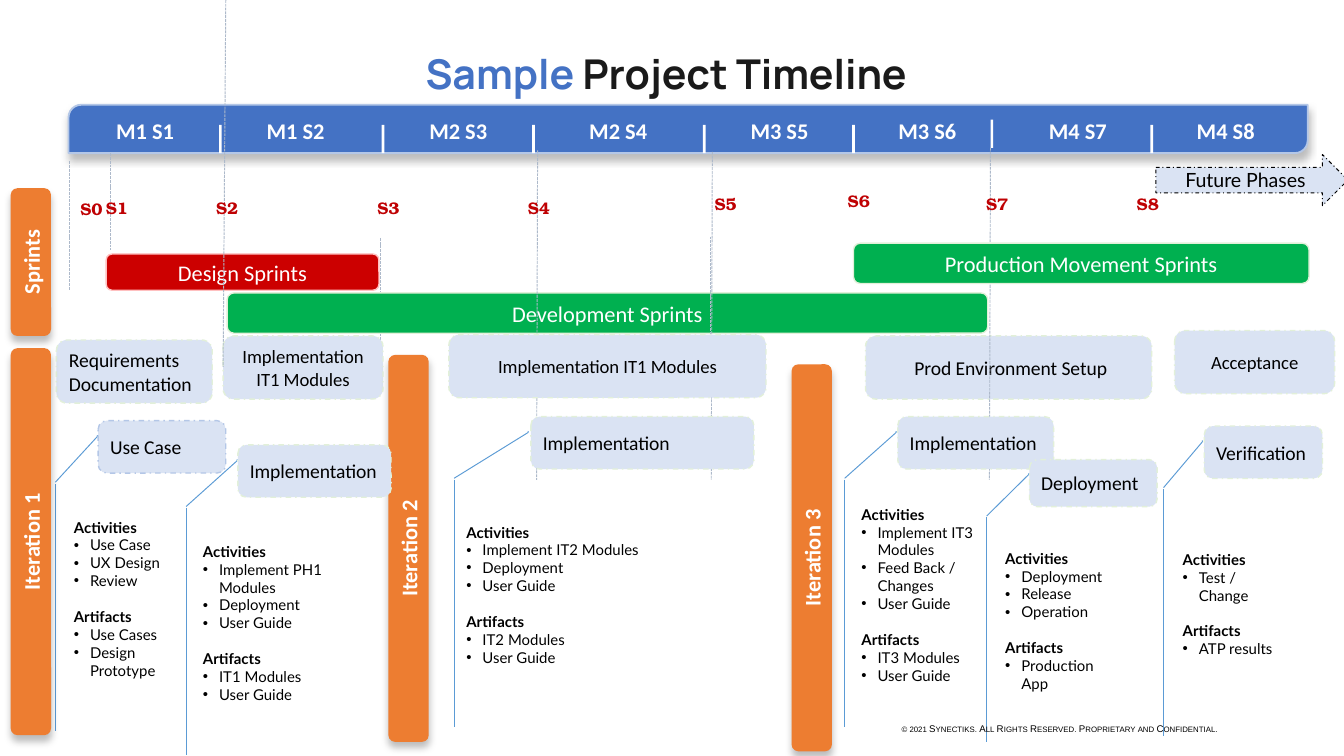
import dataclasses

import lxml.etree
import pptx
import pptx.dml.color
import pptx.enum.dml
import pptx.enum.shapes
import pptx.enum.text
import pptx.oxml.ns
import pptx.util

Inches, Pt = pptx.util.Inches, pptx.util.Pt
SHAPE = pptx.enum.shapes.MSO_SHAPE
DASH = pptx.enum.dml.MSO_LINE
ALIGN = pptx.enum.text.PP_ALIGN
ANCHOR = pptx.enum.text.MSO_ANCHOR
qn = pptx.oxml.ns.qn


@dataclasses.dataclass(frozen=True)
class Theme:
    blue: str = "4472C4"
    edge: str = "B4C7E7"
    pale: str = "DAE3F3"
    mint: str = "E2F0D9"
    orange: str = "ED7D31"
    red: str = "CC0000"
    pink: str = "FFC0C0"
    green: str = "00B050"
    sprint: str = "BF0103"
    guide: str = "ADB9CA"
    callout: str = "5B9BD5"
    white: str = "FFFFFF"
    black: str = "000000"
    ink: str = "1A1A1A"
    body: str = "Calibri"
    notes: str = "Lato"
    title: str = "Manrope"
    serif: str = "TeX Gyre Bonum"
    legal: str = "Arial"
    title_size: float = 22
    bar_size: float = 12
    task_size: float = 10.5
    phase_size: float = 10
    sprint_size: float = 9
    note_size: float = 8
    legal_size: float = 5.25


class Timeline:
    tight = (0.07, 0.04, 0.07, 0.04)

    def __init__(self, slide, theme):
        self.s, self.t = slide, theme

    def color(self, value):
        return pptx.dml.color.RGBColor.from_string(value)

    def frame(self, sp, insets, anchor):
        tf = sp.text_frame
        tf.word_wrap = True
        tf.vertical_anchor = anchor
        tf.margin_left, tf.margin_top, tf.margin_right, tf.margin_bottom = map(Inches, insets)
        return tf

    def run(self, p, text, size, font, color, bold=False):
        r = p.add_run()
        r.text = text
        r.font.size, r.font.name, r.font.bold = Pt(size), font, bold
        r.font.color.rgb = self.color(color)
        return r

    def shape(self, kind, box, fill, line=None, width=0.75, dash=None, shadow=False):
        sp = self.s.shapes.add_shape(kind, *map(Inches, box))
        sp.shadow.inherit = False
        sp.fill.solid()
        sp.fill.fore_color.rgb = self.color(fill)
        if line:
            sp.line.color.rgb = self.color(line)
            sp.line.width = Pt(width)
            if dash:
                sp.line.dash_style = dash
        else:
            sp.line.fill.background()
        if shadow:
            effects = sp._element.spPr.find(qn("a:effectLst"))
            outer = lxml.etree.SubElement(effects, qn("a:outerShdw"), blurRad=str(Pt(4)),
                                          dist=str(Pt(3)), dir="5400000", rotWithShape="0")
            clr = lxml.etree.SubElement(outer, qn("a:srgbClr"), val=self.t.black)
            lxml.etree.SubElement(clr, qn("a:alpha"), val="25000")
        return sp

    def label(self, sp, lines, size, color, font=None, bold=False, align=ALIGN.CENTER,
              insets=tight, anchor=ANCHOR.MIDDLE):
        tf = self.frame(sp, insets, anchor)
        for i, text in enumerate(lines.split("\n")):
            p = tf.add_paragraph() if i else tf.paragraphs[0]
            p.alignment = align
            self.run(p, text, size, font or self.t.body, color, bold)

    def text(self, box, text, size, color, font=None, bold=True):
        sp = self.s.shapes.add_textbox(*map(Inches, box))
        self.label(sp, text, size, color, font, bold, anchor=ANCHOR.TOP)

    def bar(self, box, text, fill, line):
        sp = self.shape(SHAPE.ROUNDED_RECTANGLE, box, fill, line)
        self.label(sp, text, self.t.bar_size, self.t.white)

    def side_tab(self, left, top, height, text):
        """Vertical tab: a wide shape turned a quarter to the left."""
        thick = 0.3
        box = (left + (thick - height) / 2, top + (height - thick) / 2, height, thick)
        sp = self.shape(SHAPE.ROUNDED_RECTANGLE, box, self.t.orange, shadow=True)
        sp.rotation = 270
        self.label(sp, text, self.t.bar_size, self.t.white, bold=True)

    def task(self, box, text, size=None, align=ALIGN.LEFT, line=None, insets=tight):
        sp = self.shape(SHAPE.ROUNDED_RECTANGLE, box, self.t.pale, line or self.t.mint,
                        dash=DASH.DASH_DOT)
        self.label(sp, text, size or self.t.task_size, self.t.black, align=align, insets=insets)

    def guide(self, x1, y1, x2, y2):
        c = self.s.shapes.add_connector(pptx.enum.shapes.MSO_CONNECTOR.STRAIGHT,
                                        *map(Inches, (x1, y1, x2, y2)))
        c.line.color.rgb = self.color(self.t.guide)
        c.line.width = Pt(0.5)
        c.line.dash_style = DASH.SQUARE_DOT
        lxml.etree.SubElement(c._element.spPr, qn("a:effectLst"))

    def notes(self, box, activities, artifacts):
        sp = self.shape(SHAPE.LINE_CALLOUT_2_ACCENT_BAR, box, self.t.white, self.t.callout, 0.5)
        for i, value in enumerate((-0.006, 0.053, -0.191, 0.32, -0.197, 0.321)):
            sp.adjustments[i] = value
        tf = self.frame(sp, (0.2, 0.16, 0.2, 0.29), ANCHOR.MIDDLE)
        for heading, items in (("Activities", activities), ("Artifacts", artifacts)):
            first = heading == "Activities"
            p = tf.paragraphs[0] if first else tf.add_paragraph()
            p.alignment = ALIGN.LEFT
            if not first:
                p.space_before = Pt(9.6)
            self.run(p, heading, self.t.note_size, self.t.notes, self.t.black, True)
            for item in items:
                p = tf.add_paragraph()
                p.alignment = ALIGN.LEFT
                pPr = p._p.get_or_add_pPr()
                pPr.set("marL", str(Inches(0.12)))
                pPr.set("indent", str(-Inches(0.12)))
                lxml.etree.SubElement(pPr, qn("a:buFont"), typeface=self.t.legal)
                lxml.etree.SubElement(pPr, qn("a:buChar"), char="•")
                self.run(p, item, self.t.note_size, self.t.notes, self.t.black)


def main():
    prs = pptx.Presentation()
    prs.slide_width = Inches(10)
    prs.slide_height = prs.slide_width * 9 // 16
    t = Theme()
    tl = Timeline(prs.slides.add_slide(prs.slide_layouts[6]), t)

    # Title
    sp = tl.s.shapes.add_textbox(*map(Inches, (1.96, 0.31, 6.09, 0.47)))
    p = tl.frame(sp, (0, 0.05, 0.1, 0.05), ANCHOR.TOP).paragraphs[0]
    p.alignment = ALIGN.CENTER
    tl.run(p, "Sample ", t.title_size, t.title, t.blue, True)
    tl.run(p, "Project Timeline", t.title_size, t.title, t.ink, True)

    # Month band
    band = tl.shape(SHAPE.ROUND_2_DIAG_RECTANGLE, (0.51, 0.78, 9.22, 0.36), t.blue, t.edge, 1,
                    shadow=True)
    band.adjustments[0], band.adjustments[1] = 0.262, 0.013
    for x in (1.63, 2.84, 3.96, 5.23, 6.34, 7.37, 8.56):
        tl.shape(SHAPE.RECTANGLE, (x, 0.89 if x == 7.37 else 0.93, 0.02, 0.21), t.white)
    for i, center in enumerate((1.08, 2.2, 3.41, 4.6, 5.8, 6.9, 8.02, 9.12)):
        tl.text((center - 0.4, 0.83, 0.8, 0.28), f"M{i // 2 + 1} S{i + 1}", t.bar_size, t.white)

    # Sprint bars, phase boxes and dashed guides
    tl.bar((0.79, 1.89, 2.03, 0.27), "Design Sprints", t.red, t.pink)
    tl.guide(2.83, 1.77, 2.83, 2.77)
    tl.bar((1.69, 2.18, 5.66, 0.3), "Development Sprints", t.green, t.mint)
    tl.task((1.66, 2.5, 1.19, 0.47), "Implementation\nIT1 Modules", t.phase_size, ALIGN.CENTER)
    tl.task((0.42, 2.53, 1.16, 0.47), "Requirements Documentation")
    tl.task((6.44, 2.5, 2.13, 0.47), "Prod Environment Setup", insets=(0.34, 0.04, 0.07, 0.04))
    for ends in ((0.52, 1.2, 0.52, 2.16), (4, 1.12, 3.99, 4.27), (1.68, 0, 1.66, 2.73),
                 (0.82, 1.14, 0.82, 1.86), (5.29, 1.76, 5.29, 2.76),
                 (5.3, 1.13, 5.29, 4.29), (7.37, 1.1, 7.36, 4.26)):
        tl.guide(*ends)
    tl.bar((6.35, 1.81, 3.39, 0.3), "Production Movement Sprints", t.green, t.mint)
    tl.task((3.34, 2.49, 2.36, 0.47), "Implementation IT1 Modules", t.phase_size, ALIGN.CENTER)
    tl.task((8.74, 2.46, 1.19, 0.47), "Acceptance", t.phase_size, ALIGN.CENTER)

    # Sprint marks and the arrow to later phases
    marks = ((0.51, 1.44), (0.7, 1.43), (1.52, 1.43), (2.72, 1.43), (3.84, 1.43),
             (5.23, 1.4), (6.22, 1.38), (7.25, 1.4), (8.37, 1.4))
    for i, (x, y) in enumerate(marks):
        tl.text((x, y, 0.34, 0.23), f"S{i}", t.sprint_size, t.sprint, t.serif)
    arrow = tl.shape(SHAPE.RIGHT_ARROW, (8.6, 1.15, 1.43, 0.38), t.pale, t.black, 0.5,
                     DASH.DASH_DOT)
    tl.label(arrow, "Future Phases", t.task_size, t.black, t.notes,
             insets=(0.2, 0.16, 0.2, 0.16))

    # Task boxes with their notes
    tl.side_tab(2.89, 2.64, 2.88, "Iteration 2")
    guide = "User Guide"
    for note_box, activities, artifacts, task_box, task in (
        ((0.35, 3.6, 1.17, 1.84), ["Use Case", "UX Design", "Review"],
         ["Use Cases", "Design Prototype"], (0.73, 3.13, 0.95, 0.39), "Use Case"),
        ((6.21, 3.57, 1.43, 1.84), ["Implement IT3 Modules", "Feed Back / Changes", guide],
         ["IT3 Modules", guide], (6.68, 3.1, 1.16, 0.39), "Implementation"),
        ((8.6, 3.64, 1.08, 1.84), ["Test / Change"],
         ["ATP results"], (8.96, 3.17, 0.88, 0.39), "Verification"),
        ((1.31, 3.78, 1.42, 1.84), ["Implement PH1 Modules", "Deployment", guide],
         ["IT1 Modules", guide], (1.77, 3.31, 1.14, 0.39), "Implementation"),
        ((3.27, 3.57, 2.06, 1.84), ["Implement IT2 Modules", "Deployment", guide],
         ["IT2 Modules", guide], (3.95, 3.1, 1.66, 0.39), "Implementation"),
        ((7.28, 3.85, 1.17, 1.67), ["Deployment", "Release", "Operation"],
         ["Production App"], (7.66, 3.42, 0.95, 0.35), "Deployment"),
    ):
        tl.notes(note_box, activities, artifacts)
        tl.task(task_box, task, line=t.edge if task == "Use Case" else t.mint)

    # Remaining side tabs
    tl.side_tab(0.08, 1.4, 1.1, "Sprints")
    tl.side_tab(0.08, 2.59, 2.88, "Iteration 1")
    tl.side_tab(5.89, 2.71, 2.88, "Iteration 3")

    # Copyright line in small capitals
    sp = tl.s.shapes.add_textbox(*map(Inches, (6.61, 5.33, 2.89, 0.19)))
    p = tl.frame(sp, (0.1, 0.05, 0.1, 0.05), ANCHOR.TOP).paragraphs[0]
    r = tl.run(p, "© 2021 Synectiks. All Rights Reserved. Proprietary and Confidential.",
               t.legal_size, t.legal, t.black)
    r.font._element.set("cap", "small") if hasattr(r.font, "_element") else None

    prs.save("out.pptx")


if __name__ == "__main__":
    main()
